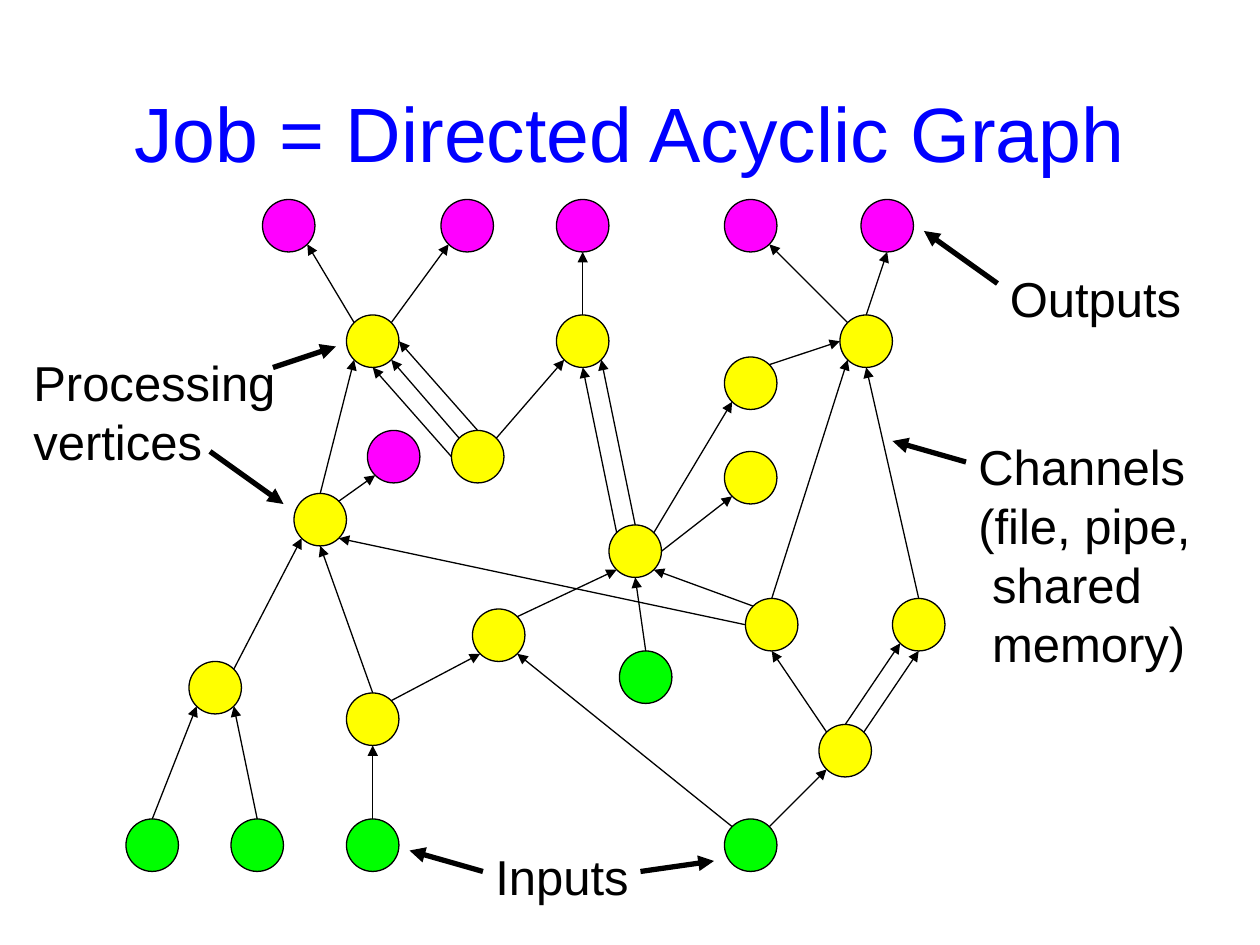
from math import cos, sin, radians
from lxml.etree import SubElement
from pptx import Presentation
from pptx.dml.color import RGBColor
from pptx.enum.shapes import MSO_CONNECTOR, MSO_SHAPE
from pptx.enum.text import MSO_ANCHOR, MSO_AUTO_SIZE, PP_ALIGN
from pptx.oxml.ns import qn
from pptx.util import Inches, Pt

GREEN, PINK, YELLOW, BLACK, BLUE = "00FF00", "FF00FF", "FFFF00", "000000", "0000FF"
SIZE = 5
SIDES = {"e": 0, "ne": 45, "n": 90, "nw": 135, "w": 180, "sw": 225, "s": 270, "se": 315}

NODES = {
    GREEN: {"in1": (12, 78), "in2": (22, 78), "in3": (33, 78), "in4": (69, 78), "in5": (59, 62)},
    PINK: {"out1": (25, 19), "out2": (42, 19), "out3": (53, 19), "out4": (69, 19),
           "out5": (82, 19), "out6": (35, 41)},
    YELLOW: {"a": (18, 63), "b": (33, 66), "c": (28, 47), "d": (45, 58), "e": (78, 69),
             "f": (71, 57), "g": (85, 57), "h": (58, 50), "i": (69, 43), "j": (69, 34),
             "k": (43, 41), "l": (33, 30), "m": (53, 30), "n": (80, 30)},
}

EDGES = """
in1 n a sw, in2 n a se, in3 n b s, in4 nw d se, in4 ne e sw, in5 n h s,
a ne c sw, b n c s, b ne d sw, d ne h sw,
e nw f s, e n g sw, e ne g s, f w c se, f nw h se, f n n sw, g n n s,
c n l sw, c ne out6 sw, k w l s, k nw l se, k n l e, k ne m sw,
h nw m s, h n m se, h ne j sw, h e i sw, j ne n w,
l nw out1 se, l ne out2 sw, m n out3 s, n nw out4 se, n n out5 s
"""

NOTES = [
    (2, 33, 27, 12.5, ["Processing", "vertices"], 0),
    (92, 41, 24, 23.6, ["Channels", "(file, pipe,", "shared", "memory)"], 2),
    (46, 80, 16, 6.8, ["Inputs"], 0),
    (95, 25, 20, 6.8, ["Outputs"], 0),
]

POINTERS = [
    ((46, 83), (39, 81)), ((61, 83), (68, 82)), ((95, 27), (88, 22)),
    ((20, 43), (27, 48)), ((26, 35), (32, 33)), ((92, 44), (85, 42)),
]


def paint(code):
    return RGBColor.from_string(code)


def grid(*cells):
    return [Inches(cell / 12) for cell in cells]


class Board:
    """Draws on one slide, in grid cells of a twelfth of an inch."""

    def __init__(self, slide, font="Arial"):
        self.shapes = slide.shapes
        self.font = font

    def text(self, x, y, w, h, lines, size=28, color=BLACK):
        box = self.shapes.add_textbox(*grid(x, y, w, h))
        frame = box.text_frame
        frame.word_wrap = True
        frame.text = "\n".join(lines)
        for para in frame.paragraphs:
            para.font.name = self.font
            para.font.size = Pt(size)
            para.font.color.rgb = paint(color)
        return frame

    def title(self, x, y, w, h, line):
        frame = self.text(x, y, w, h, [line], 44, BLUE)
        frame.vertical_anchor = MSO_ANCHOR.MIDDLE
        frame.paragraphs[0].alignment = PP_ALIGN.CENTER

    def note(self, x, y, w, h, lines, inset):
        frame = self.text(x, y, w, h, lines)
        frame.auto_size = MSO_AUTO_SIZE.SHAPE_TO_FIT_TEXT
        for para in frame.paragraphs[len(lines) - inset:]:
            para._p.get_or_add_pPr().set("marL", str(Inches(0.11)))

    def node(self, x, y, color):
        dot = self.shapes.add_shape(MSO_SHAPE.OVAL, *grid(x, y, SIZE, SIZE))
        dot.shadow.inherit = False
        dot.fill.solid()
        dot.fill.fore_color.rgb = paint(color)
        dot.line.color.rgb = paint(BLACK)
        dot.line.width = Pt(0.75)

    def arrow(self, start, end, width=0.75):
        link = self.shapes.add_connector(MSO_CONNECTOR.STRAIGHT, *grid(*start, *end))
        link.line.color.rgb = paint(BLACK)
        link.line.width = Pt(width)
        SubElement(link.line._get_or_add_ln(), qn("a:tailEnd"), type="triangle")
        SubElement(link._element.spPr, qn("a:effectLst"))


def rim(spot, side):
    x, y = spot
    turn, half = radians(SIDES[side]), SIZE / 2
    return x + half + half * cos(turn), y + half - half * sin(turn)


def main():
    deck = Presentation()
    deck.slide_width, deck.slide_height = Inches(10), Inches(7.5)
    board = Board(deck.slides.add_slide(deck.slide_layouts[6]))

    board.title(9, 5, 102, 15, "Job = Directed Acyclic Graph")
    spots = {}
    for color, group in NODES.items():
        spots.update(group)
        for spot in group.values():
            board.node(*spot, color)
    for edge in EDGES.split(","):
        tail, side, head, port = edge.split()
        board.arrow(rim(spots[tail], side), rim(spots[head], port))
    for note in NOTES:
        board.note(*note)
    for start, end in POINTERS:
        board.arrow(start, end, 3)

    deck.save("out.pptx")


if __name__ == "__main__":
    main()
